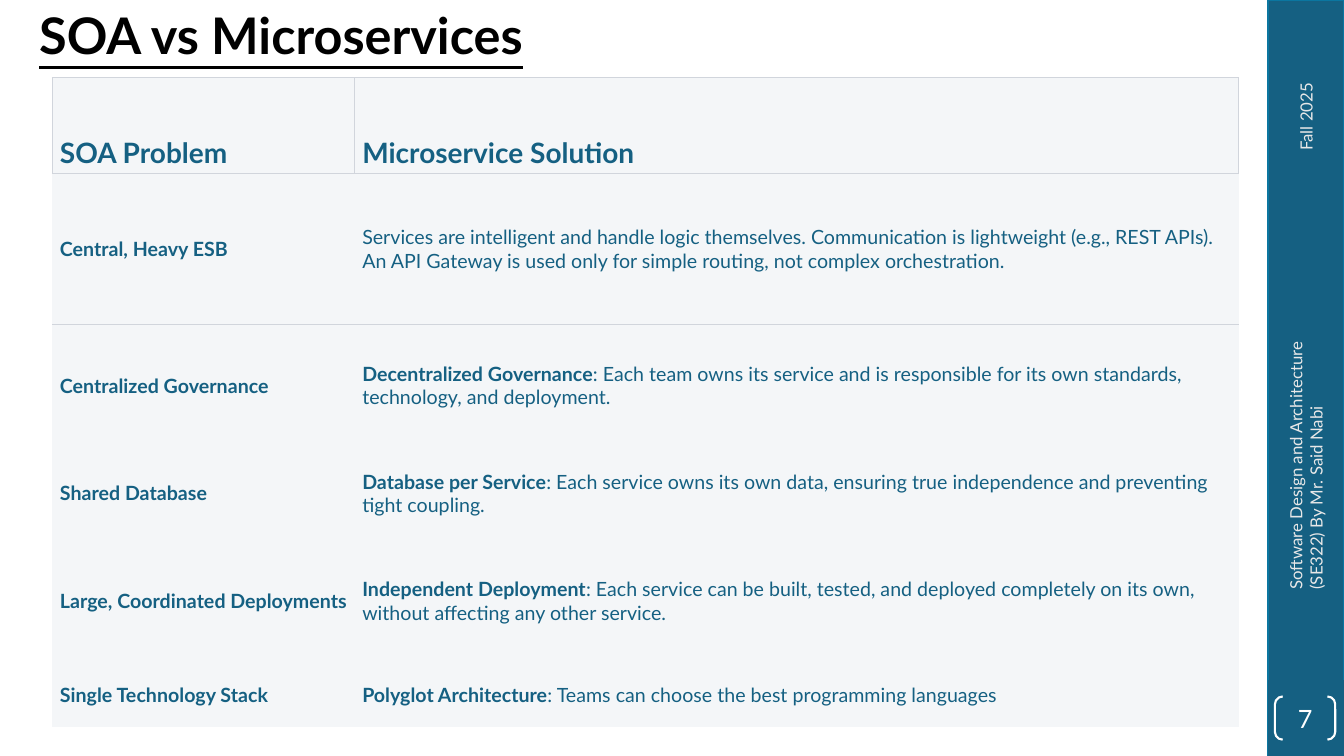
from lxml import etree
from pptx import Presentation
from pptx.dml.color import RGBColor
from pptx.enum.shapes import MSO_SHAPE
from pptx.enum.text import MSO_ANCHOR, PP_ALIGN
from pptx.oxml.ns import qn
from pptx.util import Cm, Pt

RECTANGLE, BRACKETS = MSO_SHAPE.RECTANGLE, MSO_SHAPE.DOUBLE_BRACKET
TOP, MIDDLE, BOTTOM = MSO_ANCHOR.TOP, MSO_ANCHOR.MIDDLE, MSO_ANCHOR.BOTTOM
CENTER = PP_ALIGN.CENTER

FONT = "Lato"
BLUE = RGBColor(0x15, 0x60, 0x82)
BAR_EDGE = RGBColor(0x0B, 0x76, 0xA0)
PALE_GREY = RGBColor(0xE8, 0xE8, 0xE8)
CELL_GREY = RGBColor(0xF4, 0xF6, 0xF8)
BORDER_GREY = RGBColor(0xD1, 0xD5, 0xDC)
WHITE = RGBColor(0xFF, 0xFF, 0xFF)
BLACK = RGBColor(0, 0, 0)
NO_GRID_STYLE = "{2D5ABB26-0587-4C30-8999-92F81FD0307C}"

TITLE = "SOA vs Microservices"
TERM = "Fall 2025"
COURSE = "Software Design and Architecture (SE322) By Mr. Said Nabi"
PAGE_NUMBER = "7"
HEADINGS = ("SOA Problem", "Microservice Solution")
# Problem, bold lead of the solution, rest of the solution
COMPARISON = [
    ("Central, Heavy ESB", "",
     "Services are intelligent and handle logic themselves. Communication is "
     "lightweight (e.g., REST APIs). An API Gateway is used only for simple "
     "routing, not complex orchestration."),
    ("Centralized Governance", "Decentralized Governance",
     ": Each team owns its service and is responsible for its own standards, "
     "technology, and deployment."),
    ("Shared Database", "Database per Service",
     ": Each service owns its own data, ensuring true independence and "
     "preventing tight coupling."),
    ("Large, Coordinated Deployments", "Independent Deployment",
     ": Each service can be built, tested, and deployed completely on its own, "
     "without affecting any other service."),
    ("Single Technology Stack", "Polyglot Architecture",
     ": Teams can choose the best programming languages"),
]

# Lengths in centimetres
SLIDE_WIDTH, SLIDE_HEIGHT = 33.87, 19.05
BAR_WIDTH = 1.91
BAR_LEFT = SLIDE_WIDTH - BAR_WIDTH
BAR_CENTER = BAR_LEFT + BAR_WIDTH / 2
TABLE_LEFT, TABLE_TOP = 1.32, 1.96
COLUMN_WIDTHS = (7.62, 22.28)
ROW_HEIGHTS = (2.41, 3.81, 3.07, 2.36, 3.07, 1.65)
# Text, middle of the box, length along the bar, thickness
SIDE_LABELS = [(TERM, 2.24, 3.61, 0.76), (COURSE, 11.71, 6.78, 1.27)]


def box(left, top, width, height):
    return [Cm(round(length, 2)) for length in (left, top, width, height)]


def add_run(paragraph, text, color, **formats):
    run = paragraph.add_run()
    run.text = text
    run.font.color.rgb = color
    for name, value in {"name": FONT, **formats}.items():
        setattr(run.font, name, value)


def add_bar_shape(slide, kind, frame, fill=None, line=None):
    """Add a shape; without a fill or line colour that part is clear."""
    shape = slide.shapes.add_shape(kind, *box(*frame))
    shape.shadow.inherit = False
    if fill is None:
        shape.fill.background()
    else:
        shape.fill.solid()
        shape.fill.fore_color.rgb = fill
    if line is None:
        shape.line.fill.background()
    else:
        shape.line.color.rgb = line
        shape.line.width = Pt(1.5)
    return shape


def add_text_box(slide, frame, text, color, rotation=0, spacing=None, **formats):
    text_box = slide.shapes.add_textbox(*box(*frame))
    text_box.rotation = rotation
    text_box.text_frame.word_wrap = True
    paragraph = text_box.text_frame.paragraphs[0]
    paragraph.line_spacing = spacing
    add_run(paragraph, text, color, **formats)


def add_borders(cell, widths):
    properties = cell._tc.get_or_add_tcPr()
    for side, width in widths.items():
        border = etree.SubElement(properties, qn(f"a:ln{side}"), w=str(Pt(width)))
        fill = etree.SubElement(border, qn("a:solidFill"))
        etree.SubElement(fill, qn("a:srgbClr"), val=str(BORDER_GREY))


def fill_cell(cell, runs, size, anchor, borders):
    """Write (text, bold) runs into a bordered grey cell."""
    margins = dict.fromkeys(("margin_left", "margin_right"), Cm(0.19))
    margins.update(dict.fromkeys(("margin_top", "margin_bottom"), Cm(0.1)))
    for name, value in {**margins, "vertical_anchor": anchor}.items():
        setattr(cell, name, value)
    add_borders(cell, borders)
    cell.fill.solid()
    cell.fill.fore_color.rgb = CELL_GREY
    for text, bold in runs:
        if text:
            add_run(cell.text_frame.paragraphs[0], text, BLUE, size=Pt(size), bold=bold)


def add_side_bar(slide):
    add_bar_shape(slide, RECTANGLE, (BAR_LEFT, 0, BAR_WIDTH, SLIDE_HEIGHT), BLUE, BAR_EDGE)
    add_bar_shape(slide, RECTANGLE,
                  (BAR_LEFT, SLIDE_HEIGHT - BAR_WIDTH, BAR_WIDTH, BAR_WIDTH), BLUE)
    for text, middle, length, thickness in SIDE_LABELS:
        frame = (BAR_CENTER - length / 2, middle - thickness / 2, length, thickness)
        add_text_box(slide, frame, text, PALE_GREY, rotation=270, size=Pt(12))
    brackets = add_bar_shape(slide, BRACKETS, (32.13, 17.55, 1.52, 1.09), line=WHITE)
    brackets.adjustments[0] = 0.18
    text_frame = brackets.text_frame
    for side in ("left", "top", "right", "bottom"):
        setattr(text_frame, f"margin_{side}", 0)
    text_frame.vertical_anchor = MIDDLE
    text_frame.paragraphs[0].alignment = CENTER
    add_run(text_frame.paragraphs[0], PAGE_NUMBER, WHITE, size=Pt(18))


def add_comparison_table(slide):
    frame = slide.shapes.add_table(
        len(ROW_HEIGHTS), len(COLUMN_WIDTHS),
        *box(TABLE_LEFT, TABLE_TOP, sum(COLUMN_WIDTHS), sum(ROW_HEIGHTS)))
    table = frame.table
    table.first_row = table.horz_banding = False
    for style in frame.element.iter(qn("a:tableStyleId")):
        style.text = NO_GRID_STYLE
    for column, width in zip(table.columns, COLUMN_WIDTHS):
        column.width = Cm(width)
    for row, height in zip(table.rows, ROW_HEIGHTS):
        row.height = Cm(height)

    for column, heading in enumerate(HEADINGS):
        fill_cell(table.cell(0, column), [(heading, True)], 20, BOTTOM,
                  {"L": 1, "R": 1, "T": 1, "B": 0.75})
    for row, (problem, lead, solution) in enumerate(COMPARISON, start=1):
        borders = {"T": 0.75} if row == 1 else {}
        contents = ([(problem, True)], [(lead, True), (solution, False)])
        for column, runs in enumerate(contents):
            fill_cell(table.cell(row, column), runs, 14, MIDDLE, borders)


def main():
    presentation = Presentation()
    presentation.slide_width = Cm(SLIDE_WIDTH)
    presentation.slide_height = Cm(SLIDE_HEIGHT)
    slide = presentation.slides.add_slide(presentation.slide_layouts[6])
    add_side_bar(slide)
    add_text_box(slide, (0.74, 0.15, 29.21, 2.11), TITLE, BLACK, spacing=0.9,
                 size=Pt(36), bold=True, underline=True)
    add_comparison_table(slide)
    presentation.save("out.pptx")


if __name__ == "__main__":
    main()
